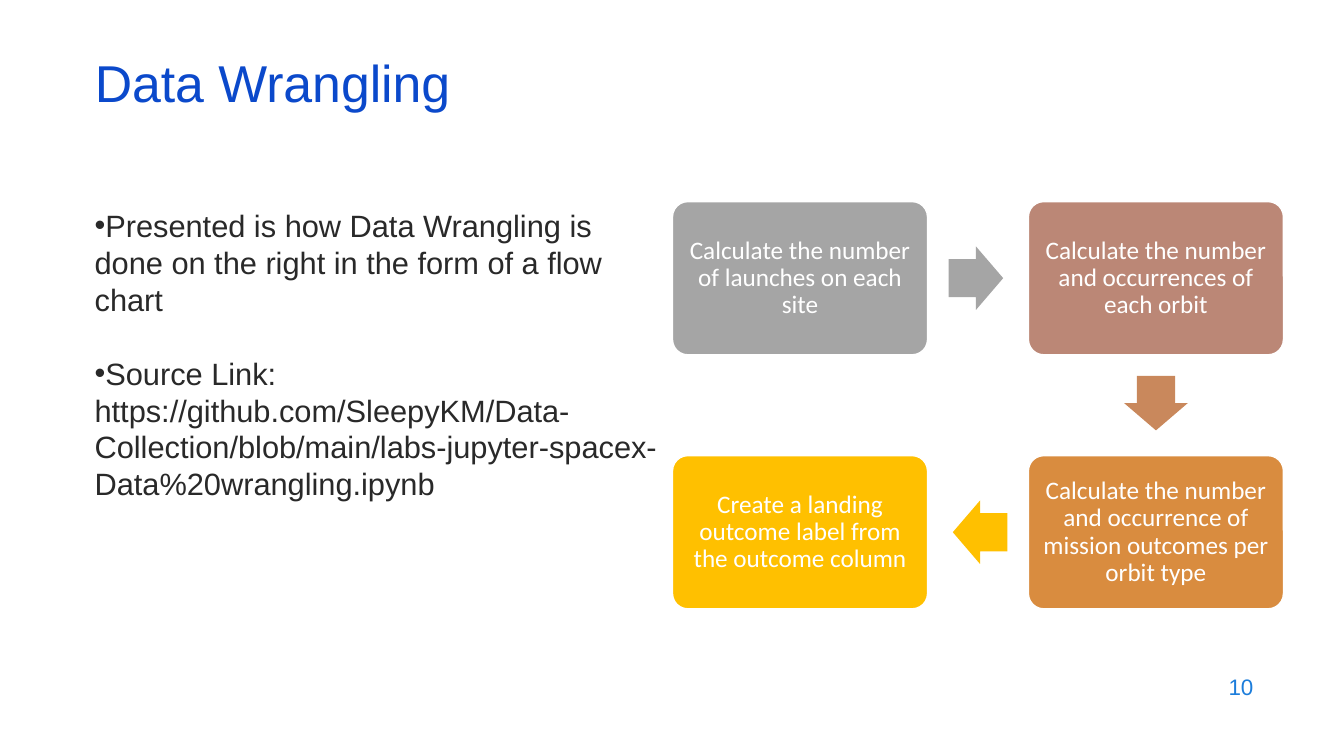
from pptx import Presentation
from pptx.dml.color import RGBColor
from pptx.enum.shapes import MSO_SHAPE as Shape
from pptx.enum.text import MSO_ANCHOR as Anchor, PP_ALIGN as Align
from pptx.oxml.ns import qn
from pptx.util import Inches, Pt
from lxml.etree import SubElement

STEPS = [
    ("Calculate the number of launches on each site", "A5A5A5", 0, 0),
    ("Calculate the number and occurrences of each orbit", "BB8776", 1, 0),
    ("Calculate the number and occurrence of mission outcomes per orbit type", "D98C3F", 1, 1),
    ("Create a landing outcome label from the outcome column", "FFC000", 0, 1),
]
ARROWS = [("A5A5A5", 1, 0, 0), ("C9885C", 0, 1, 90), ("FFC000", -1, 0, 180)]
POINTS = [
    "Presented is how Data Wrangling is done on the right in the form of a flow chart",
    "Source Link: https://github.com/SleepyKM/Data-Collection/blob/main/"
    "labs-jupyter-spacex-Data%20wrangling.ipynb",
]


def color(code):
    return RGBColor.from_string(code)


def write(para, text, size, face, code):
    run = para.add_run()
    run.text = text
    run.font.size = Pt(size)
    run.font.name = face
    run.font.color.rgb = color(code)


def place(shape, box):
    shape.left, shape.top, shape.width, shape.height = map(Inches, box)


def add_title(slide, box):
    title = slide.shapes.title
    place(title, box)
    frame = title.text_frame
    frame.word_wrap = True
    frame.vertical_anchor = Anchor.MIDDLE
    para = frame.paragraphs[0]
    para.alignment = Align.LEFT
    para.line_spacing = 0.7
    write(para, "Data Wrangling", 37, "Arial", "0B49CB")


def add_points(slide, box):
    frame = slide.shapes.add_textbox(*map(Inches, box)).text_frame
    frame.word_wrap = True
    pitch = Pt(26.4)
    for i, text in enumerate(POINTS):
        para = frame.add_paragraph() if i else frame.paragraphs[0]
        para.line_spacing = pitch
        if i:
            para.space_before = pitch
        props = para._p.get_or_add_pPr()
        props.set("marL", "0")
        props.set("indent", "0")
        SubElement(props, qn("a:buFont")).set("typeface", "Arial")
        SubElement(props, qn("a:buChar")).set("char", "•")
        write(para, text, 22, "Arial", "292929")


def add_block(slide, kind, box, code):
    shape = slide.shapes.add_shape(kind, *map(Inches, box))
    shape.shadow.inherit = False
    shape.fill.solid()
    shape.fill.fore_color.rgb = color(code)
    return shape


def add_step(slide, box, text, code):
    step = add_block(slide, Shape.ROUNDED_RECTANGLE, box, code)
    step.adjustments[0] = 0.1
    step.line.color.rgb = color("FFFFFF")
    step.line.width = Pt(1)
    frame = step.text_frame
    frame.word_wrap = True
    frame.vertical_anchor = Anchor.MIDDLE
    frame.margin_left = frame.margin_right = Inches(0.07)
    frame.margin_top = frame.margin_bottom = Inches(0.07)
    para = frame.paragraphs[0]
    para.alignment = Align.CENTER
    para.line_spacing = 0.9
    write(para, text, 18, "Calibri", "FFFFFF")


def add_arrow(slide, mid, code, turn):
    wide, high = 0.54, 0.63
    box = mid[0] - wide / 2, mid[1] - high / 2, wide, high
    arrow = add_block(slide, Shape.RIGHT_ARROW, box, code)
    arrow.adjustments[0] = 0.6
    arrow.adjustments[1] = 0.5
    arrow.rotation = turn
    arrow.line.fill.background()


def add_flow(slide, box):
    left, top, width, height = box
    wide, high, gap = 2.53, 1.52, 0.48
    spots = []
    for text, code, col, row in STEPS:
        x = left + col * (width - wide)
        y = top + row * (height - high)
        add_step(slide, (x, y, wide, high), text, code)
        spots.append((x + wide / 2, y + high / 2))
    for (x, y), (code, dx, dy, turn) in zip(spots, ARROWS):
        mid = x + dx * (wide / 2 + gap), y + dy * (high / 2 + gap)
        add_arrow(slide, mid, code, turn)


def add_number(slide, box):
    frame = slide.shapes.add_textbox(*map(Inches, box)).text_frame
    frame.word_wrap = True
    frame.vertical_anchor = Anchor.MIDDLE
    para = frame.paragraphs[0]
    para.alignment = Align.RIGHT
    write(para, "10", 16, "Arial", "1C7DDB")


def main():
    deck = Presentation()
    deck.slide_width = Inches(13.33)
    deck.slide_height = Inches(7.5)
    slide = deck.slides.add_slide(deck.slide_layouts[5])
    add_title(slide, (0.84, 0.59, 11.5, 0.6))
    add_points(slide, (0.84, 2, 5.82, 4.76))
    add_flow(slide, (6.67, 2, 6.06, 4.04))
    add_number(slide, (9.53, 6.59, 3, 0.44))
    deck.save("out.pptx")


if __name__ == "__main__":
    main()
